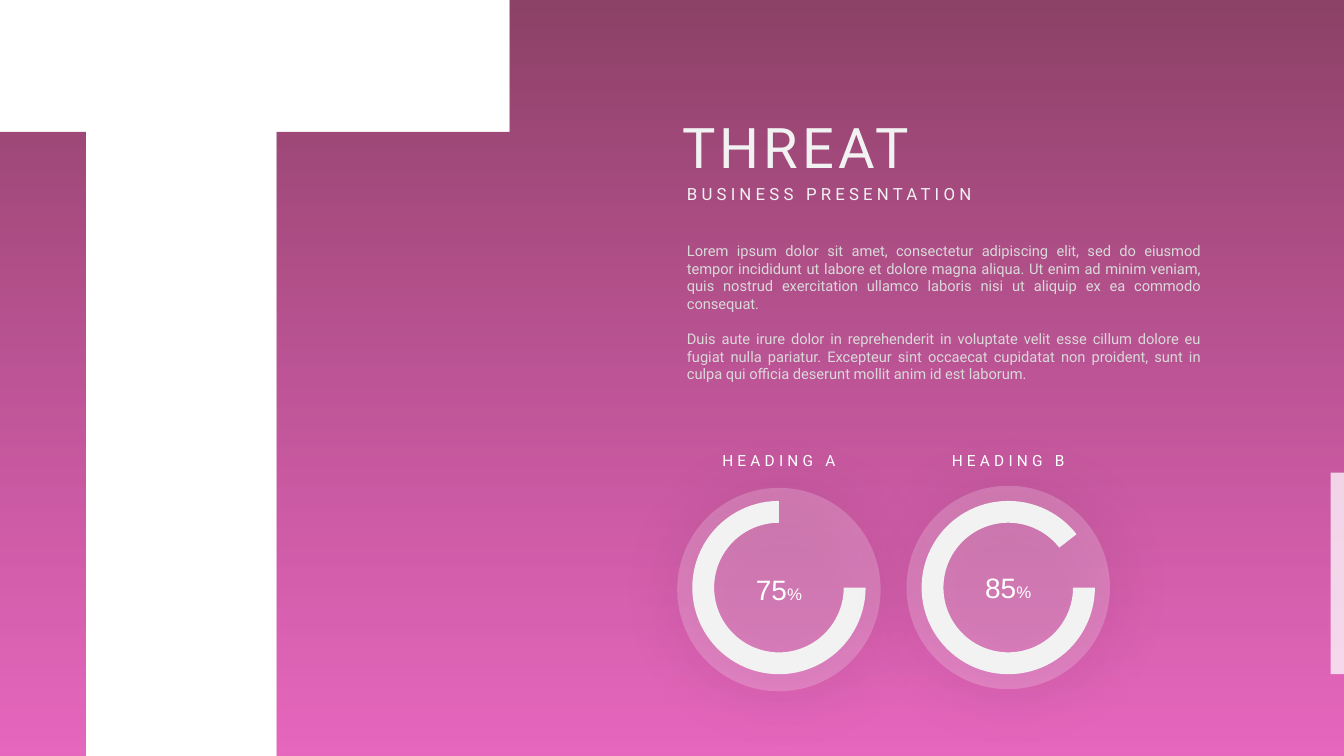
from lxml.etree import SubElement
from pptx import Presentation
from pptx.dml.color import RGBColor
from pptx.enum.shapes import MSO_SHAPE
from pptx.enum.text import MSO_ANCHOR, MSO_AUTO_SIZE, PP_ALIGN
from pptx.oxml.ns import qn
from pptx.util import Pt

# Content
TITLE = "THREAT"
SUBTITLE = "BUSINESS PRESENTATION"
BODY = [
    "Lorem ipsum dolor sit amet, consectetur adipiscing elit, sed do eiusmod tempor "
    "incididunt ut labore et dolore magna aliqua. Ut enim ad minim veniam, quis nostrud "
    "exercitation ullamco laboris nisi ut aliquip ex ea commodo consequat.",
    "Duis aute irure dolor in reprehenderit in voluptate velit esse cillum dolore eu "
    "fugiat nulla pariatur. Excepteur sint occaecat cupidatat non proident, sunt in "
    "culpa qui officia deserunt mollit anim id est laborum.",
]
# Heading, value, end angle of the ring in degrees, downward shift of disc and value
GAUGES = [("HEADING A", "75", 270, 1.5), ("HEADING B", "85", 322, 0)]

# Colours
WHITE = RGBColor(0xFF, 0xFF, 0xFF)
OFF_WHITE = RGBColor(0xF2, 0xF2, 0xF2)
PALE_GREY = RGBColor(0xD9, 0xD9, 0xD9)
WINE = RGBColor(0x66, 0x00, 0x33)
MAGENTA = RGBColor(0xD6, 0x00, 0x93)

# Layout in points
WIDTH, HEIGHT = 960, 540
ARM_RIGHT, ARM_BOTTOM = 363.3, 94.5
STEM_LEFT, STEM_RIGHT = 61, 197
GAUGE_CENTRE, GAUGE_PITCH = 556.4, 163.8
DISC, RING, RING_WIDTH = 145.3, 123.8, 15.6
DISC_TOP, RING_TOP = 347, 357.8

# Text formats
TITLE_FORMAT = {"size": Pt(40), "name": "Roboto"}
SUBTITLE_FORMAT = {"size": Pt(12), "name": "Roboto"}
BODY_FORMAT = {"size": Pt(10.5), "name": "Roboto"}
HEADING_FORMAT = {"size": Pt(11), "name": "Roboto"}
VALUE_FORMAT = {"size": Pt(20), "name": "Arial"}
PERCENT_FORMAT = {"size": Pt(12), "name": "Arial"}
FRAME_FORMAT = {
    "word_wrap": True, "auto_size": MSO_AUTO_SIZE.NONE, "vertical_anchor": MSO_ANCHOR.TOP,
    "margin_left": Pt(7.2), "margin_right": Pt(7.2),
    "margin_top": Pt(3.6), "margin_bottom": Pt(3.6),
}


def set_all(target, values):
    for name, value in values.items():
        setattr(target, name, value)


def place(shape, left, top, width, height):
    set_all(shape, {"left": Pt(left), "top": Pt(top), "width": Pt(width), "height": Pt(height)})


def write(box, paragraphs, color, align=PP_ALIGN.LEFT, spacing=0, gap=0):
    """Each paragraph is a list of (text, format) runs."""
    frame = box.text_frame
    set_all(frame, FRAME_FORMAT)
    for i, runs in enumerate(paragraphs):
        paragraph = frame.add_paragraph() if i else frame.paragraphs[0]
        paragraph.alignment = align
        paragraph.space_before = Pt(gap if i else 0)
        for text, font_format in runs:
            run = paragraph.add_run()
            run.text = text
            set_all(run.font, font_format)
            run.font.color.rgb = color
            if spacing:
                run.font._element.set("spc", str(spacing * 100))


def add_text(bounds, *args, **options):
    box = shapes.add_textbox(*map(Pt, bounds))
    write(box, *args, **options)


def set_alpha(shape, *percents):
    for color, percent in zip(shape.element.spPr.iter(qn("a:srgbClr")), percents):
        SubElement(color, qn("a:alpha"), val=str(percent * 1000))


def add_plain(kind, bounds, color, alpha=None):
    shape = shapes.add_shape(kind, *map(Pt, bounds))
    shape.shadow.inherit = False
    shape.fill.solid()
    shape.fill.fore_color.rgb = color
    shape.line.fill.background()
    if alpha:
        set_alpha(shape, alpha)
    return shape


def add_soft_shadow(shape):
    effects = shape.element.spPr.find(qn("a:effectLst"))
    shadow = SubElement(effects, qn("a:outerShdw"), blurRad=str(Pt(50)), dist=str(Pt(3)),
                        dir=str(45 * 60000), algn="tl", rotWithShape="0")
    black = SubElement(shadow, qn("a:srgbClr"), val="000000")
    SubElement(black, qn("a:alpha"), val="40000")


presentation = Presentation()
presentation.slide_width, presentation.slide_height = Pt(WIDTH), Pt(HEIGHT)
slide = presentation.slides.add_slide(presentation.slide_layouts[5])
shapes = slide.shapes

# Gradient wash that leaves a large letter T open
left_part = [(0, ARM_BOTTOM), (STEM_LEFT, ARM_BOTTOM), (STEM_LEFT, HEIGHT), (0, HEIGHT)]
right_part = [(ARM_RIGHT, 0), (WIDTH, 0), (WIDTH, HEIGHT), (STEM_RIGHT, HEIGHT),
              (STEM_RIGHT, ARM_BOTTOM), (ARM_RIGHT, ARM_BOTTOM)]
builder = shapes.build_freeform(Pt(left_part[0][0]), Pt(left_part[0][1]))
for part in (left_part, right_part):
    points = [(Pt(x), Pt(y)) for x, y in part]
    if part is right_part:
        builder.move_to(*points[0])
    builder.add_line_segments(points[1:], close=True)
wash = builder.convert_to_shape()
wash.shadow.inherit = False
wash.line.fill.background()
wash.fill.gradient()
wash.fill.gradient_angle = 270
for stop, color, position in zip(wash.fill.gradient_stops, (WINE, MAGENTA), (0, 1)):
    stop.color.rgb = color
    stop.position = position
set_alpha(wash, 75, 60)

# Title, subtitle and body
title = shapes.title
wash.element.addnext(title.element)
place(title, 480.2, 77, 319, 55.5)
write(title, [[(TITLE, TITLE_FORMAT)]], OFF_WHITE, spacing=3)
add_text((483.6, 127.5, 319, 21.6), [[(SUBTITLE, SUBTITLE_FORMAT)]], OFF_WHITE, spacing=3)
add_text((483.6, 169.3, 381.6, 108.7), [[(text, BODY_FORMAT)] for text in BODY],
         PALE_GREY, align=PP_ALIGN.JUSTIFY, gap=12.5)

# Gauges
for i, (heading, value, end_angle, shift) in enumerate(GAUGES):
    centre = GAUGE_CENTRE + i * GAUGE_PITCH
    disc = add_plain(MSO_SHAPE.OVAL, (centre - DISC / 2, DISC_TOP + shift, DISC, DISC), WHITE, 20)
    add_soft_shadow(disc)
    ring = add_plain(MSO_SHAPE.BLOCK_ARC, (centre - RING / 2, RING_TOP, RING, RING), OFF_WHITE)
    ring.adjustments[0] = 0
    ring.adjustments[1] = end_angle * 0.6  # 60000 units a degree, scaled by 100000
    ring.adjustments[2] = RING_WIDTH / RING
    add_text((centre - 38.5, 404 + shift, 77, 31.5),
             [[(value, VALUE_FORMAT), ("%", PERCENT_FORMAT)]], WHITE, align=PP_ALIGN.CENTER)
    add_text((centre - 54, 319, 108, 20.6), [[(heading, HEADING_FORMAT)]], WHITE,
             align=PP_ALIGN.CENTER, spacing=3)

# Tab on the right edge
add_plain(MSO_SHAPE.RECTANGLE, (950.5, 337.6, 9.5, 144), WHITE, 75)

presentation.save("out.pptx")
